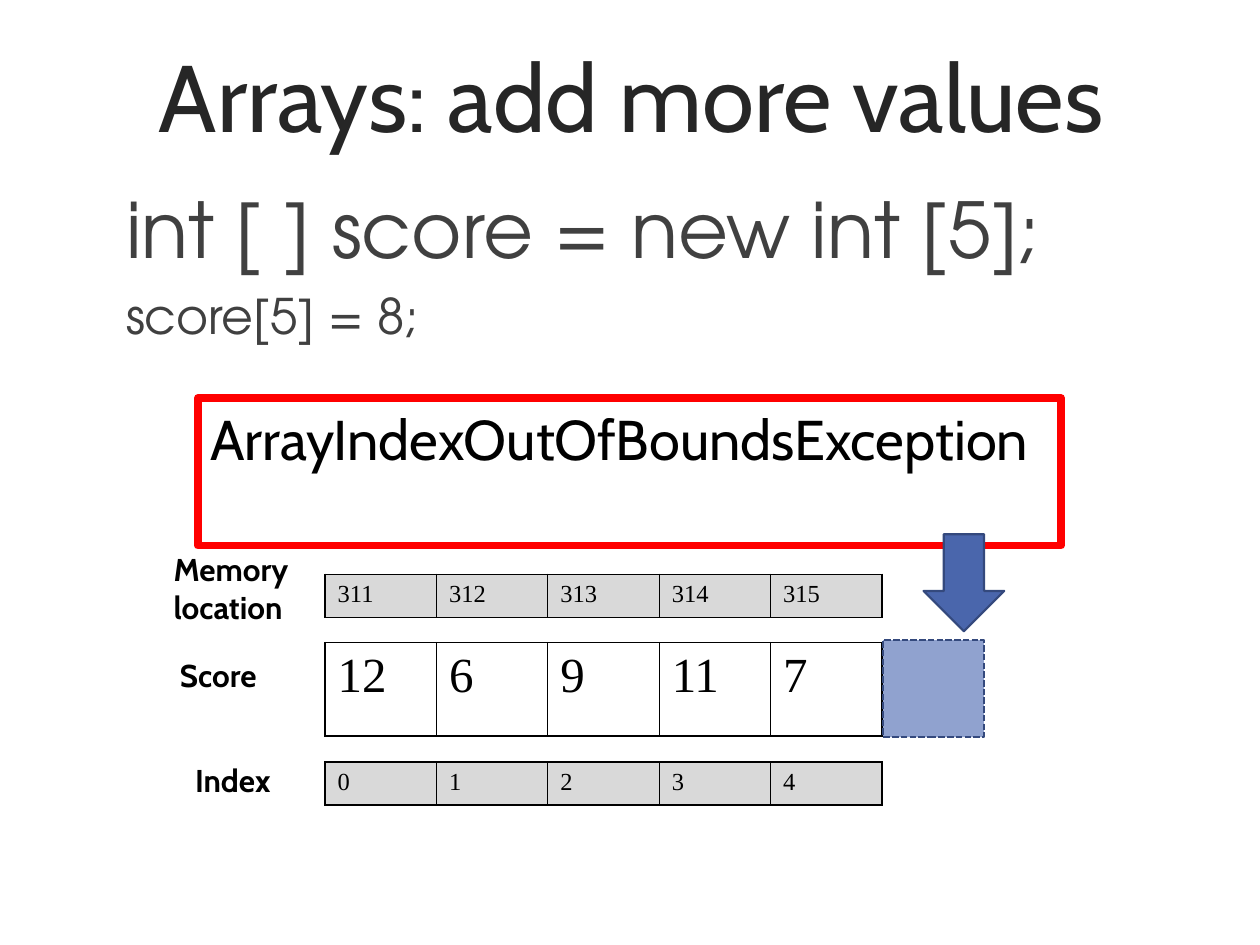
from lxml import etree
from pptx import Presentation
from pptx.dml.color import RGBColor
from pptx.enum.dml import MSO_LINE
from pptx.enum.shapes import MSO_SHAPE
from pptx.enum.text import MSO_ANCHOR, PP_ALIGN
from pptx.oxml.ns import qn
from pptx.util import Inches, Pt

DASHED = MSO_LINE.SQUARE_DOT
RECTANGLE, UP_ARROW = MSO_SHAPE.RECTANGLE, MSO_SHAPE.UP_ARROW
TOP, MIDDLE = MSO_ANCHOR.TOP, MSO_ANCHOR.MIDDLE
LEFT, CENTER = PP_ALIGN.LEFT, PP_ALIGN.CENTER

TITLE = "Arrays: add more values"
CODE = [("int [ ] score = new int [5];", 44, 0), ("score[5] = 8;", 28, 10)]
ERROR = "ArrayIndexOutOfBoundsException"
GRAY = "D9D9D9"
ARRAY_ROWS = [
    (["12", "6", "9", "11", "7"], 5.1, 0.74, 28, None),
    (["0", "1", "2", "3", "4"], 6.05, 0.34, 14, GRAY),
    (["311", "312", "313", "314", "315"], 4.56, 0.34, 14, GRAY),
]
LABELS = [
    ("Index", (1.45, 5.99, 0.87, 0.7)),
    ("Score", (1.33, 5.16, 1.1, 0.4)),
    ("Memory location", (1.28, 4.32, 1.3, 0.7)),
]
TABLE_LEFT, TABLE_WIDTH = 2.58, 4.42
OUTER, INNER = 1.08, 0.45


def color(value):
    """Turn a hex string into a colour."""
    return RGBColor.from_string(value)


def place(shape, area):
    """Move and size a shape, in inches."""
    for name, value in zip(("left", "top", "width", "height"), area):
        setattr(shape, name, Inches(value))


def write(para, text, size, face, ink="000000", bold=False):
    """Put formatted text in a paragraph."""
    span = para.add_run()
    span.text = text
    for name, value in {"size": Pt(size), "name": face, "bold": bold}.items():
        setattr(span.font, name, value)
    span.font.color.rgb = color(ink)


def set_frame(frame, anchor=TOP):
    """Set wrapping, anchor and margins of a text frame."""
    settings = {"word_wrap": True, "vertical_anchor": anchor,
                "margin_left": Inches(0.1), "margin_right": Inches(0.1),
                "margin_top": Inches(0.05), "margin_bottom": Inches(0.05)}
    for name, value in settings.items():
        setattr(frame, name, value)


def set_border(cell, side, width):
    """Draw one black cell border."""
    line = etree.Element(qn(f"a:ln{side}"), w=str(Pt(width)))
    fill = etree.SubElement(line, qn("a:solidFill"))
    etree.SubElement(fill, qn("a:srgbClr"), val="000000")
    cell._tc.get_or_add_tcPr().append(line)


def add_array_row(page, values, top, height, size, fill):
    """Add a one-row table with a heavier outer frame."""
    count = len(values)
    frame = page.shapes.add_table(1, count, Inches(TABLE_LEFT), Inches(top),
                                  Inches(TABLE_WIDTH), Inches(height))
    table = frame.table
    table.first_row = table.horz_banding = False
    for index, value in enumerate(values):
        cell = table.cell(0, index)
        write(cell.text_frame.paragraphs[0], value, size, "Times New Roman")
        widths = {"L": INNER if index else OUTER,
                  "R": INNER if index < count - 1 else OUTER,
                  "T": OUTER, "B": OUTER}
        for side, width in widths.items():
            set_border(cell, side, width)
        if fill:
            cell.fill.solid()
            cell.fill.fore_color.rgb = color(fill)
        else:
            cell.fill.background()


def add_label(page, text, area):
    """Add a bold row label."""
    box = page.shapes.add_textbox(*map(Inches, area))
    set_frame(box.text_frame)
    write(box.text_frame.paragraphs[0], text, 18, "Cabin", bold=True)


def add_figure(page, kind, area, fill, line, width):
    """Add a preset shape with its fill and outline."""
    shape = page.shapes.add_shape(kind, *map(Inches, area))
    shape.shadow.inherit = False
    if fill:
        shape.fill.solid()
        shape.fill.fore_color.rgb = color(fill)
    else:
        shape.fill.background()
    shape.line.color.rgb = color(line)
    shape.line.width = Pt(width)
    return shape


def add_code(body):
    """Fill the body with unbulleted code lines."""
    place(body, (0.9, 1.47, 8.51, 4.02))
    frame = body.text_frame
    set_frame(frame)
    for index, (text, size, before) in enumerate(CODE):
        para = frame.add_paragraph() if index else frame.paragraphs[0]
        properties = para._p.get_or_add_pPr()
        properties.set("marL", str(Inches(0.38)))
        properties.set("indent", str(Inches(-0.38)))
        etree.SubElement(properties, qn("a:buNone"))
        para.space_before = Pt(before)
        para.line_spacing = 0.9
        write(para, text, size, "TeX Gyre Adventor", "404040")


def main():
    """Build and save the slide."""
    deck = Presentation()
    deck.slide_width, deck.slide_height = Inches(10), Inches(7.5)
    page = deck.slides.add_slide(deck.slide_layouts[1])

    title = page.shapes.title
    place(title, (0.51, 0.28, 9, 0.95))
    set_frame(title.text_frame, MIDDLE)
    heading = title.text_frame.paragraphs[0]
    heading.alignment = CENTER
    write(heading, TITLE, 54, "Cabin", "262626")
    add_code(page.placeholders[1])

    for row in ARRAY_ROWS:
        add_array_row(page, *row)
    for label in LABELS:
        add_label(page, *label)

    extra = add_figure(page, RECTANGLE, (7.01, 5.08, 0.8, 0.77),
                       "90A2CF", "34497D", 1.25)
    extra.line.dash_style = DASHED
    error = add_figure(page, RECTANGLE, (1.57, 3.16, 6.85, 1.17),
                       None, "FF0000", 4.5)
    set_frame(error.text_frame)
    message = error.text_frame.paragraphs[0]
    message.alignment = LEFT
    write(message, ERROR, 32, "Cabin")
    arrow = add_figure(page, UP_ARROW, (7.33, 4.24, 0.64, 0.77),
                       "4A66AC", "34497D", 1.25)
    arrow.rotation = 180

    deck.save("out.pptx")


if __name__ == "__main__":
    main()
